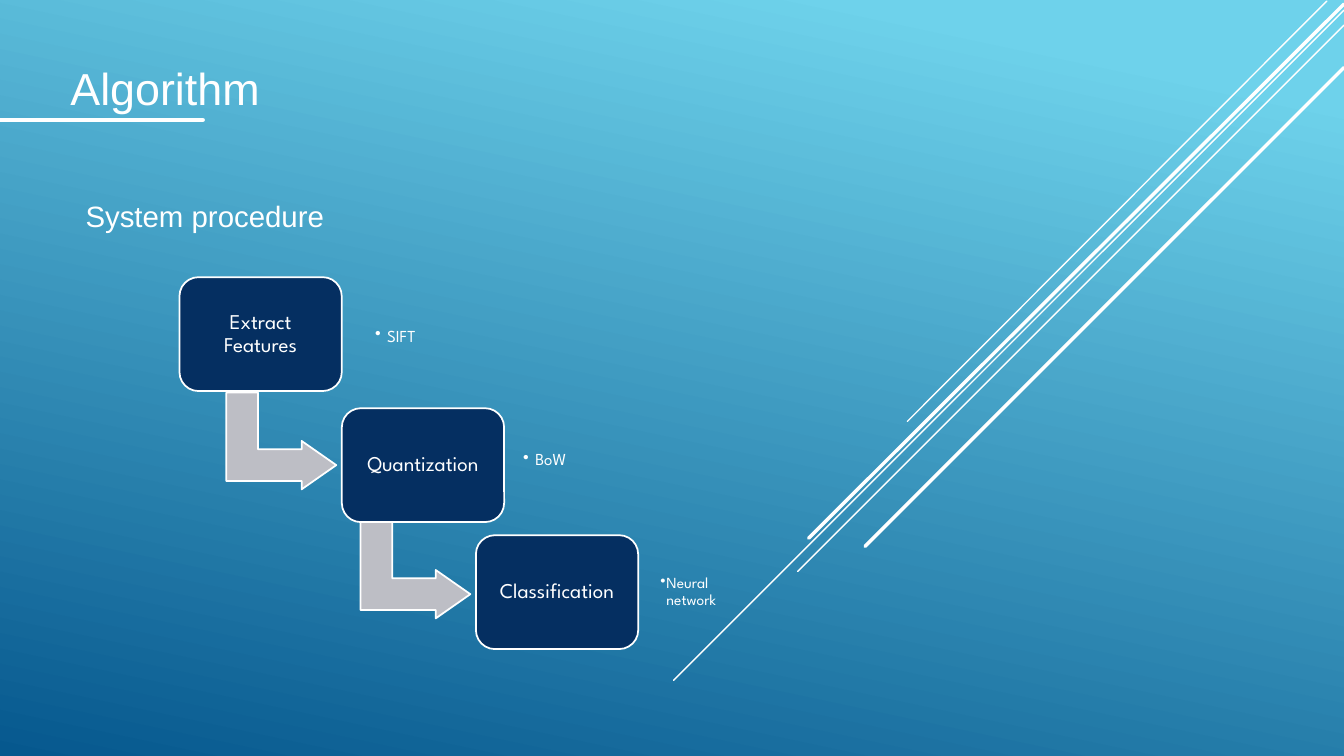
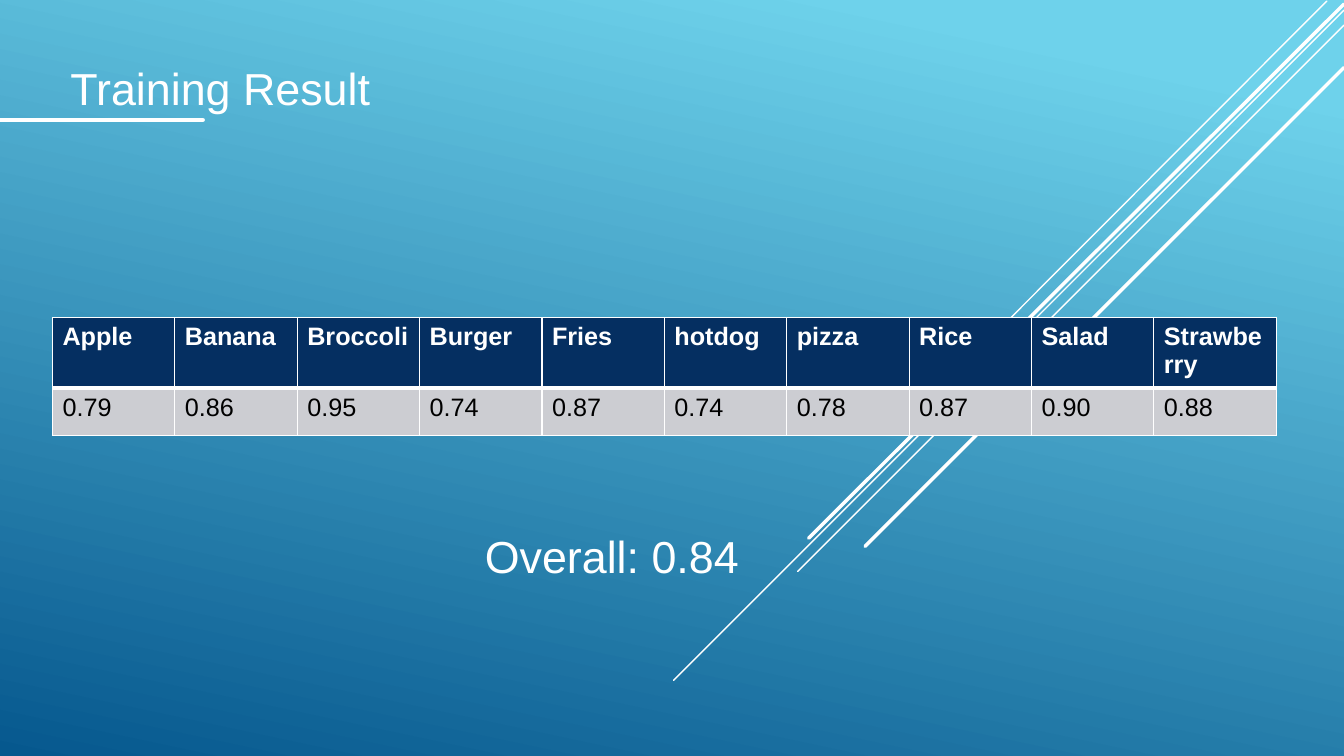
from dataclasses import dataclass
from lxml.etree import SubElement
from pptx import Presentation
from pptx.dml.color import RGBColor
from pptx.enum.shapes import MSO_CONNECTOR, MSO_SHAPE
from pptx.enum.text import MSO_ANCHOR, PP_ALIGN
from pptx.oxml.ns import qn
from pptx.util import Inches, Pt


@dataclass(frozen=True)
class Theme:
    white: str = "FFFFFF"
    black: str = "000000"
    navy: str = "052F61"
    arrow: str = "BDBEC5"
    cell: str = "CCCDD2"
    sky: str = "6ED2EB"
    deep: str = "06588E"
    sans: str = "Arial"
    round: str = "League Spartan"
    title: int = 32
    sub: int = 21
    step: int = 15
    grid: int = 18
    edge: float = 1.25


T = Theme()
WIDE, HIGH = 13.33, 7.5

RAYS = [
    (13.16, 0.01, 9, 4.18, 1),
    (13.33, 0.1, 6.68, 6.75, 1),
    (13.33, 0.25, 7.91, 5.67, 1),
    (13.33, 0.04, 8.02, 5.34, 2.5),
    (13.33, 0.67, 8.58, 5.42, 2.5),
]
RULE = (0, 1.19, 2.01, 1.19, 3.25)
HEAD = (0.6, 0.55, 3.48, 0.63)

BOX = (1.61, 1.13)
BEND = (0.96, 1.09)
STEPS = [
    ("Extract Features", (1.78, 2.75)),
    ("Quantization", (3.39, 4.05)),
    ("Classification", (4.72, 5.31)),
]
BENDS = [(2.31, 3.83), (3.64, 5.11)]
NOTES = [
    ("SIFT", (3.66, 2.75, 1.17, 1.18), 12, 0.12),
    ("BoW", (5.13, 3.99, 1.17, 1.15), 12, 0.12),
    ("Neural network", (6.49, 5.42, 0.86, 0.91), 11, 0.06),
]

SCORES = [
    ("Apple", "0.79"), ("Banana", "0.86"), ("Broccoli", "0.95"),
    ("Burger", "0.74"), ("Fries", "0.87"), ("hotdog", "0.74"),
    ("pizza", "0.78"), ("Rice", "0.87"), ("Salad", "0.90"),
    ("Strawberry", "0.88"),
]
TABLE = (0.52, 3.15, 12.14, 1.17)
ROWS = [0.7, 0.47]


def rgb(tone):
    return RGBColor.from_string(tone)


def inch(*parts):
    return [Inches(part) for part in parts]


def write(frame, text, size, font=T.sans, tone=T.white, bold=False):
    frame.word_wrap = True
    para = frame.paragraphs[0]
    run = para.add_run()
    run.text = text
    run.font.size = Pt(size)
    run.font.name = font
    run.font.bold = bold
    run.font.color.rgb = rgb(tone)
    return para


def pad(frame, gap):
    frame.margin_left = frame.margin_right = Inches(gap)
    frame.margin_top = frame.margin_bottom = Inches(gap)
    frame.vertical_anchor = MSO_ANCHOR.MIDDLE


def label(slide, at, text, size, font=T.sans):
    frame = slide.shapes.add_textbox(*inch(*at)).text_frame
    return frame, write(frame, text, size, font)


def line(slide, x1, y1, x2, y2, width):
    link = slide.shapes.add_connector(MSO_CONNECTOR.STRAIGHT, *inch(x1, y1, x2, y2))
    link.line.color.rgb = rgb(T.white)
    link.line.width = Pt(width)
    props = link._element.spPr
    props.find(qn("a:ln")).set("cap", "rnd")
    SubElement(props, qn("a:effectLst"))


def shape(slide, kind, spot, size, tone, tweaks):
    item = slide.shapes.add_shape(kind, *inch(*spot, *size))
    item.shadow.inherit = False
    item.fill.solid()
    item.fill.fore_color.rgb = rgb(tone)
    item.line.color.rgb = rgb(T.white)
    item.line.width = Pt(T.edge)
    for place, tweak in enumerate(tweaks):
        item.adjustments[place] = tweak
    return item


def base(deck, title):
    slide = deck.slides.add_slide(deck.slide_layouts[6])
    fill = slide.background.fill
    fill.gradient()
    fill.gradient_angle = 258
    stops = ((0.1, T.sky), (1, T.deep))
    for stop, (place, tone) in zip(fill.gradient_stops, stops):
        stop.position = place
        stop.color.rgb = rgb(tone)
    for ray in RAYS:
        line(slide, *ray)
    label(slide, HEAD, title, T.title)
    line(slide, *RULE)
    return slide


def flow(deck):
    slide = base(deck, "Algorithm")
    label(slide, (0.75, 1.92, 7, 4.42), "System procedure", T.sub)
    for spot in BENDS:
        bend = shape(slide, MSO_SHAPE.BENT_UP_ARROW, spot, BEND, T.arrow,
                     (0.328, 0.25, 0.358))
        bend.rotation = 90
    for text, spot in STEPS:
        box = shape(slide, MSO_SHAPE.ROUNDED_RECTANGLE, spot, BOX, T.navy, (0.167,))
        pad(box.text_frame, 0.08)
        para = write(box.text_frame, text, T.step, T.round)
        para.alignment = PP_ALIGN.CENTER
        para.line_spacing = 0.9
    for text, at, size, dent in NOTES:
        frame, para = label(slide, at, text, size, T.round)
        pad(frame, 0.06)
        para.line_spacing = 0.9
        props = para._p.get_or_add_pPr()
        props.set("marL", str(Inches(dent)))
        props.set("indent", str(-Inches(dent)))
        SubElement(props, qn("a:buChar")).set("char", "•")


def edge(cell, side, width):
    rim = SubElement(cell._tc.get_or_add_tcPr(), qn("a:" + side), w=str(Pt(width)))
    fill = SubElement(rim, qn("a:solidFill"))
    SubElement(fill, qn("a:srgbClr"), val=T.white)


def result(deck):
    slide = base(deck, "Training Result")
    grid = slide.shapes.add_table(len(ROWS), len(SCORES), *inch(*TABLE)).table
    for row, tall in zip(grid.rows, ROWS):
        row.height = Inches(tall)
    looks = [(T.navy, T.white, True, 1, 3), (T.cell, T.black, False, 3, 1)]
    for col, pair in enumerate(SCORES):
        grid.columns[col].width = Inches(TABLE[2] / len(SCORES))
        for row, (text, look) in enumerate(zip(pair, looks)):
            back, tone, bold, top, low = look
            cell = grid.cell(row, col)
            for side, width in (("lnL", 1), ("lnR", 1), ("lnT", top), ("lnB", low)):
                edge(cell, side, width)
            cell.fill.solid()
            cell.fill.fore_color.rgb = rgb(back)
            write(cell.text_frame, text, T.grid, tone=tone, bold=bold)
    label(slide, (4.71, 5.2, 6.77, 0.63), "Overall: 0.84", T.title)


def main():
    deck = Presentation()
    deck.slide_width, deck.slide_height = inch(WIDE, HIGH)
    flow(deck)
    result(deck)
    deck.save("out.pptx")


if __name__ == "__main__":
    main()
